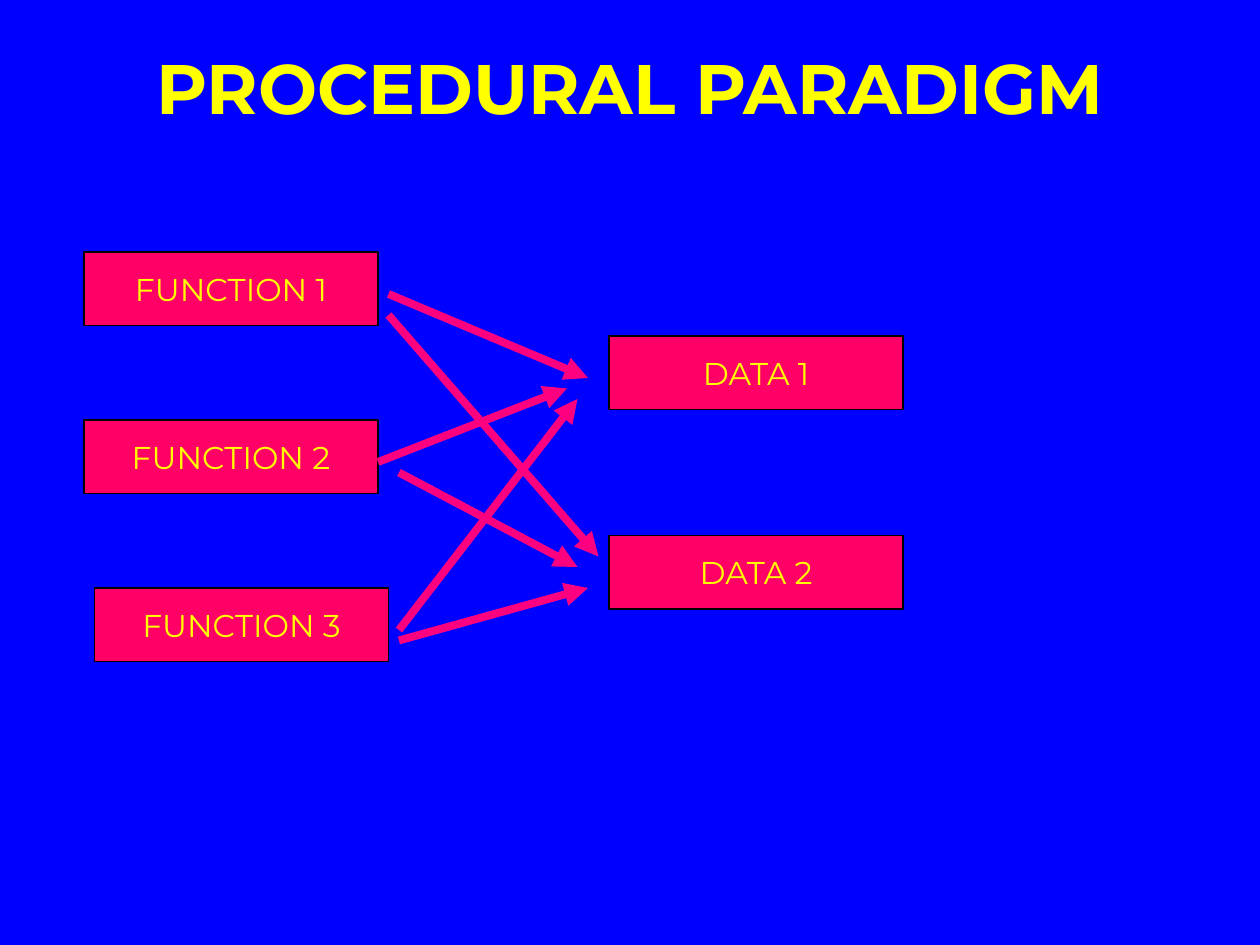
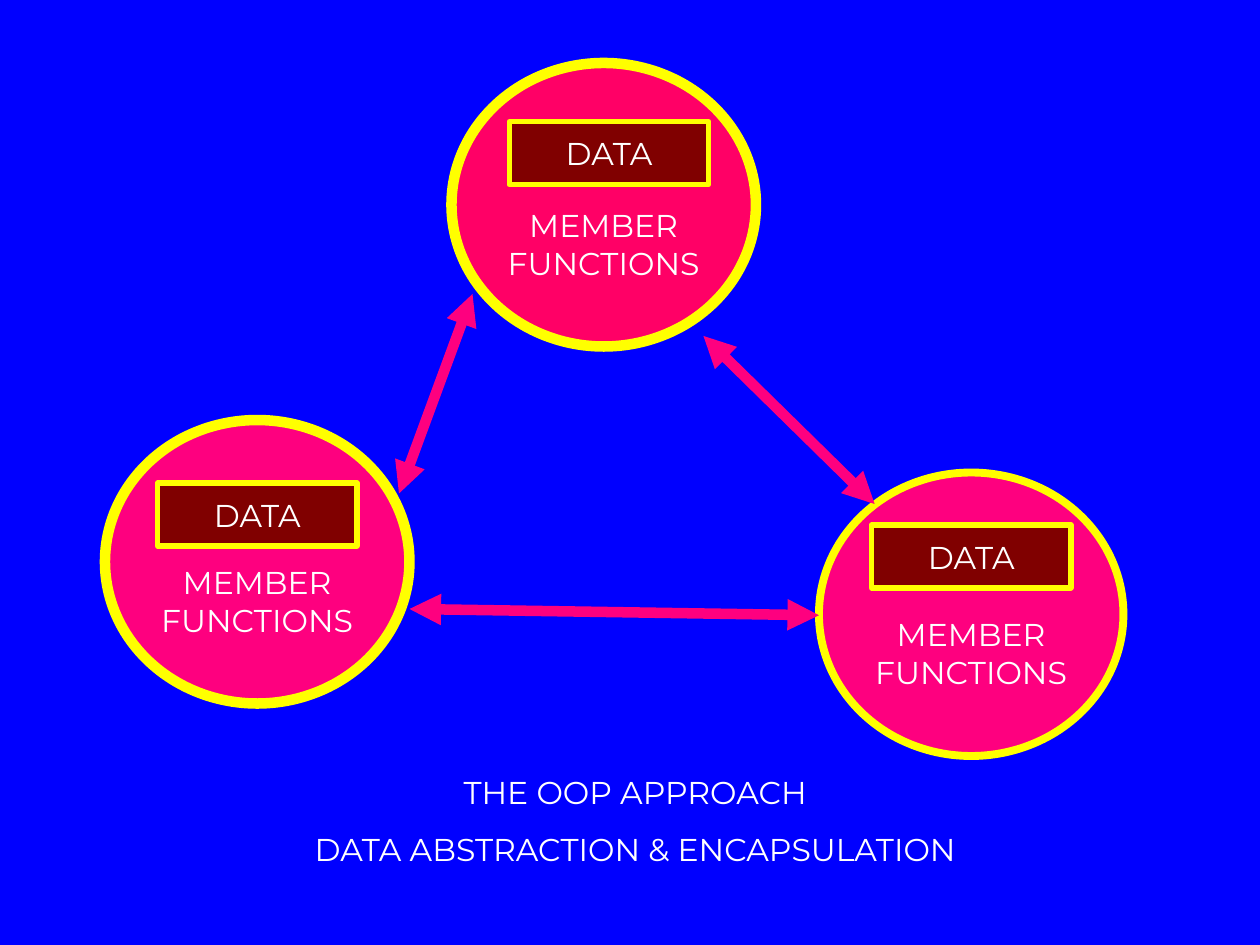
from dataclasses import dataclass

import pptx
import pptx.dml.color
import pptx.enum.shapes
import pptx.enum.text
import pptx.oxml
import pptx.oxml.ns
import pptx.util
from pptx.presentation import Presentation
from pptx.shapes.autoshape import Shape
from pptx.slide import Slide
from pptx.text.text import TextFrame

PX = 7620  # EMU in one px, 120 px to the inch
FONT = "Montserrat"
BODY_SIZE = 18
INSET_X, INSET_Y = 12, 6
COLORS = {
    "blue": "0000FF",
    "yellow": "FFFF00",
    "white": "FFFFFF",
    "black": "000000",
    "crimson": "FF0066",
    "pink": "FE007F",
    "maroon": "800000",
}
RECT = pptx.enum.shapes.MSO_SHAPE.RECTANGLE
OVAL = pptx.enum.shapes.MSO_SHAPE.OVAL
CENTER = pptx.enum.text.PP_ALIGN.CENTER
MIDDLE = pptx.enum.text.MSO_ANCHOR.MIDDLE


@dataclass(frozen=True)
class Style:
    geometry: pptx.enum.shapes.MSO_SHAPE
    width: int
    height: int
    fill: str
    line: str
    line_pt: float
    text: str
    inset_top: int = INSET_Y


@dataclass(frozen=True)
class Box:
    label: str
    x: int
    y: int


@dataclass(frozen=True)
class Arrow:
    x1: int
    y1: int
    x2: int
    y2: int


@dataclass(frozen=True)
class ObjectNode:
    """A circle of member functions around its data box."""
    x: int
    y: int
    data_x: int
    data_y: int
    fill: str = "pink"
    line_pt: float = 6


BOX_STYLE = Style(RECT, 280, 70, "crimson", "black", 0.75, "yellow")
DATA_STYLE = Style(RECT, 190, 60, "maroon", "yellow", 3, "white")

BOXES = [
    Box("FUNCTION 1", 80, 240),
    Box("FUNCTION 2", 80, 400),
    Box("FUNCTION 3", 90, 560),
    Box("DATA 1", 580, 320),
    Box("DATA 2", 580, 510),
]
ACCESS_ARROWS = [
    Arrow(370, 280, 560, 360),
    Arrow(370, 300, 570, 530),
    Arrow(360, 440, 540, 370),
    Arrow(380, 450, 550, 540),
    Arrow(380, 600, 550, 380),
    Arrow(380, 610, 560, 560),
]
OBJECTS = [
    ObjectNode(430, 60, 485, 116, fill="crimson"),
    ObjectNode(100, 400, 150, 460),
    ObjectNode(780, 450, 830, 500, line_pt=4.5),
]
MESSAGE_ARROWS = [
    Arrow(390, 580, 780, 586),
    Arrow(833, 480, 670, 320),
    Arrow(380, 470, 450, 280),
]


def px(n: int) -> pptx.util.Emu:
    return pptx.util.Emu(n * PX)


def rgb(name: str) -> pptx.dml.color.RGBColor:
    return pptx.dml.color.RGBColor.from_string(COLORS[name])


def set_text(tf: TextFrame, text: str, color: str, size: int = BODY_SIZE,
             bold: bool = False, gap_pt: float = 0) -> None:
    """Fill a frame with centred lines, gap_pt apart."""
    tf.text = text
    for i, p in enumerate(tf.paragraphs):
        p.alignment = CENTER
        if i and gap_pt:
            p.space_before = pptx.util.Pt(gap_pt)
        for r in p.runs:
            r.font.name = FONT
            r.font.size = pptx.util.Pt(size)
            r.font.bold = bold
            r.font.color.rgb = rgb(color)


def set_insets(tf: TextFrame, x: int, top: int, bottom: int) -> None:
    tf.margin_left = tf.margin_right = px(x)
    tf.margin_top, tf.margin_bottom = px(top), px(bottom)


def add_shape(s: Slide, text: str, x: int, y: int, style: Style) -> Shape:
    sp = s.shapes.add_shape(style.geometry, px(x), px(y),
                            px(style.width), px(style.height))
    sp.shadow.inherit = False
    sp.fill.solid()
    sp.fill.fore_color.rgb = rgb(style.fill)
    sp.line.color.rgb = rgb(style.line)
    sp.line.width = pptx.util.Pt(style.line_pt)
    tf = sp.text_frame
    tf.word_wrap = False
    tf.vertical_anchor = MIDDLE
    set_insets(tf, INSET_X, style.inset_top, INSET_Y)
    set_text(tf, text, style.text)
    return sp


def add_arrow(s: Slide, arrow: Arrow, width_pt: float, both_ends: bool = False) -> None:
    sp = s.shapes.add_connector(pptx.enum.shapes.MSO_CONNECTOR.STRAIGHT,
                                px(arrow.x1), px(arrow.y1), px(arrow.x2), px(arrow.y2))
    sp.line.color.rgb = rgb("pink")
    sp.line.width = pptx.util.Pt(width_pt)
    ln = sp.line._get_or_add_ln()
    for end in ("headEnd", "tailEnd") if both_ends else ("tailEnd",):
        ln.append(pptx.oxml.parse_xml(
            f'<a:{end} {pptx.oxml.ns.nsdecls("a")} type="triangle"/>'))
    sp._element.spPr.append(pptx.oxml.parse_xml(
        f'<a:effectLst {pptx.oxml.ns.nsdecls("a")}/>'))


def add_title(s: Slide, text: str) -> None:
    sp = s.shapes.title
    sp.left, sp.top, sp.width, sp.height = px(60), px(40), px(1080), px(85)
    tf = sp.text_frame
    tf.auto_size = pptx.enum.text.MSO_AUTO_SIZE.NONE
    tf.vertical_anchor = MIDDLE
    set_insets(tf, 0, 0, 0)
    set_text(tf, text, "yellow", size=40, bold=True)


def add_object(s: Slide, node: ObjectNode) -> None:
    circle = Style(OVAL, 290, 270, node.fill, "yellow", node.line_pt, "white", inset_top=80)
    add_shape(s, "MEMBER\nFUNCTIONS", node.x, node.y, circle)
    add_shape(s, "DATA", node.data_x, node.data_y, DATA_STYLE)


def build_procedural(prs: Presentation) -> None:
    s = prs.slides.add_slide(prs.slide_layouts[5])
    add_title(s, "PROCEDURAL PARADIGM")
    for box in BOXES:
        add_shape(s, box.label, box.x, box.y, BOX_STYLE)
    for arrow in ACCESS_ARROWS:
        add_arrow(s, arrow, 4.5)


def build_oop(prs: Presentation) -> None:
    s = prs.slides.add_slide(prs.slide_layouts[6])
    for node in OBJECTS:
        add_object(s, node)
    caption = s.shapes.add_textbox(px(70), px(730), px(1070), px(103))
    tf = caption.text_frame
    tf.word_wrap = True
    set_insets(tf, INSET_X, INSET_Y, INSET_Y)
    set_text(tf, "THE OOP APPROACH\nDATA ABSTRACTION & ENCAPSULATION", "white", gap_pt=11.2)
    for arrow in MESSAGE_ARROWS:
        add_arrow(s, arrow, 6, both_ends=True)


def main() -> None:
    prs = pptx.Presentation()
    prs.slide_width, prs.slide_height = px(1200), px(900)
    background = prs.slide_master.background.fill
    background.solid()
    background.fore_color.rgb = rgb("blue")
    build_procedural(prs)
    build_oop(prs)
    prs.save("out.pptx")


if __name__ == "__main__":
    main()
